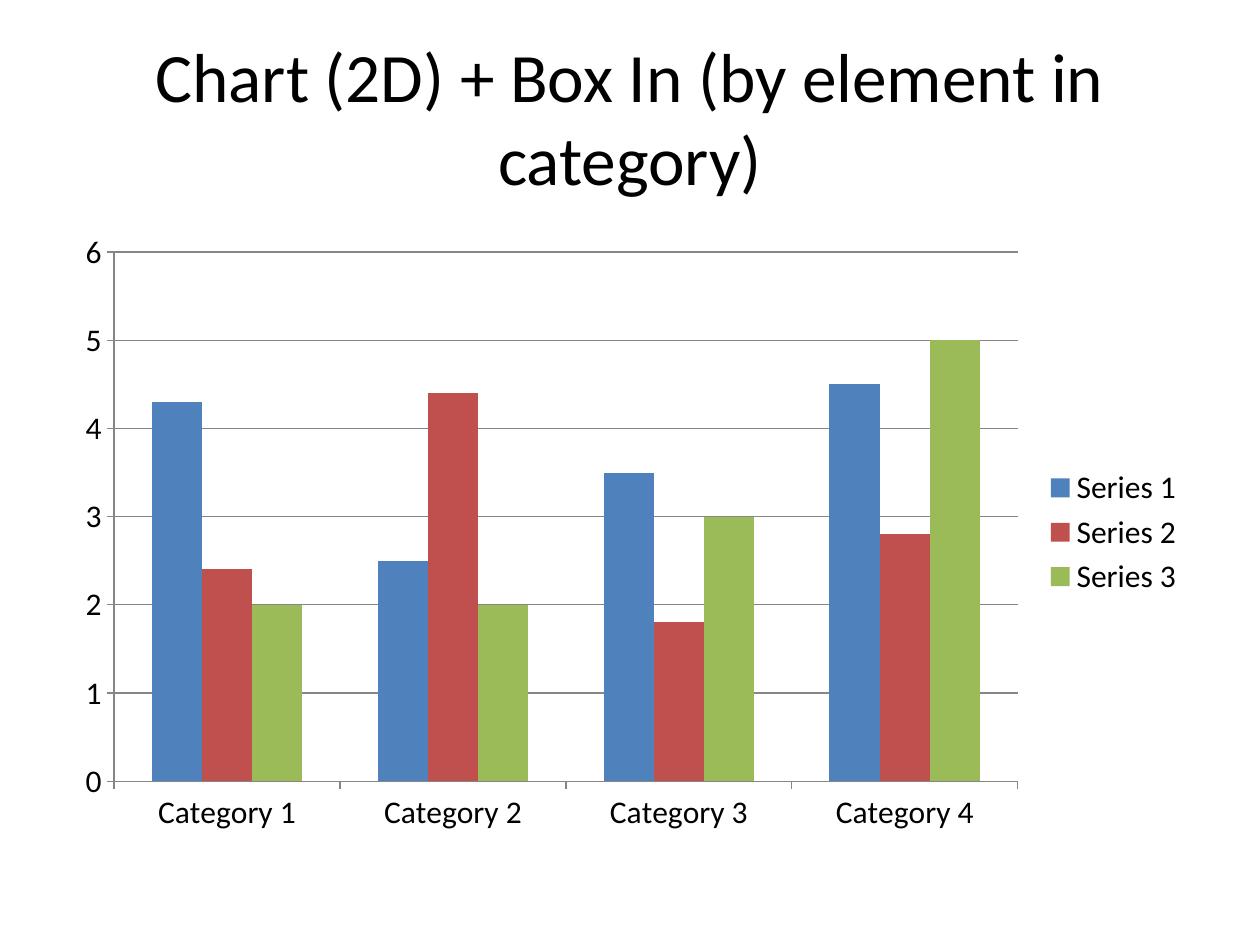
import pptx
import pptx.chart.data
import pptx.dml.color
import pptx.enum.chart
import pptx.enum.text
import pptx.util
from pptx.util import Inches

CATEGORIES = ["Category 1", "Category 2", "Category 3", "Category 4"]
SERIES = [
    ("Series 1", (4.3, 2.5, 3.5, 4.5), "4F81BD"),
    ("Series 2", (2.4, 4.4, 1.8, 2.8), "C0504D"),
    ("Series 3", (2, 2, 3, 5), "9BBB59"),
]


def color(hex_text):
    return pptx.dml.color.RGBColor.from_string(hex_text)


class SlideBuilder:
    """Holds the style and the current slide."""

    font_name = "Calibri"
    text_color = "000000"
    line_color = "868686"

    def __init__(self, page):
        self.page = page

    def style_font(self, font, size):
        font.name = self.font_name
        font.size = pptx.util.Pt(size)
        font.color.rgb = color(self.text_color)

    def style_line(self, line):
        line.color.rgb = color(self.line_color)
        line.width = pptx.util.Pt(0.75)

    def title(self, text, left, top, width, height):
        box = self.page.shapes.add_textbox(left, top, width, height)
        frame = box.text_frame
        frame.word_wrap = True
        frame.vertical_anchor = pptx.enum.text.MSO_ANCHOR.MIDDLE
        para = frame.paragraphs[0]
        para.text = text
        para.alignment = pptx.enum.text.PP_ALIGN.CENTER
        self.style_font(para.font, 39.6)

    def column_chart(self, categories, series, left, top, width, height):
        data = pptx.chart.data.CategoryChartData()
        data.categories = categories
        for name, values, _ in series:
            data.add_series(name, values)
        chart = self.page.shapes.add_chart(
            pptx.enum.chart.XL_CHART_TYPE.COLUMN_CLUSTERED,
            left, top, width, height, data).chart
        self.style_font(chart.font, 18)
        chart.has_title = False
        chart.has_legend = True
        chart.legend.position = pptx.enum.chart.XL_LEGEND_POSITION.RIGHT
        chart.legend.include_in_layout = False

        plot = chart.plots[0]
        plot.vary_by_categories = False
        plot.gap_width = 150
        for column, (_, _, fill_color) in zip(plot.series, series):
            column.format.fill.solid()
            column.format.fill.fore_color.rgb = color(fill_color)

        for axis in (chart.category_axis, chart.value_axis):
            axis.major_tick_mark = pptx.enum.chart.XL_TICK_MARK.OUTSIDE
            axis.minor_tick_mark = pptx.enum.chart.XL_TICK_MARK.NONE
            self.style_line(axis.format.line)
        chart.value_axis.has_major_gridlines = True
        self.style_line(chart.value_axis.major_gridlines.format.line)


def main():
    deck = pptx.Presentation()
    deck.slide_width, deck.slide_height = Inches(10), Inches(7.5)
    builder = SlideBuilder(deck.slides.add_slide(deck.slide_layouts[6]))
    builder.title("Chart (2D) + Box In (by element in category)",
                  Inches(0.5), Inches(0.3), Inches(9), Inches(1.25))
    builder.column_chart(CATEGORIES, SERIES,
                         Inches(0.5), Inches(1.75), Inches(9), Inches(4.95))
    deck.save("out.pptx")


if __name__ == "__main__":
    main()
